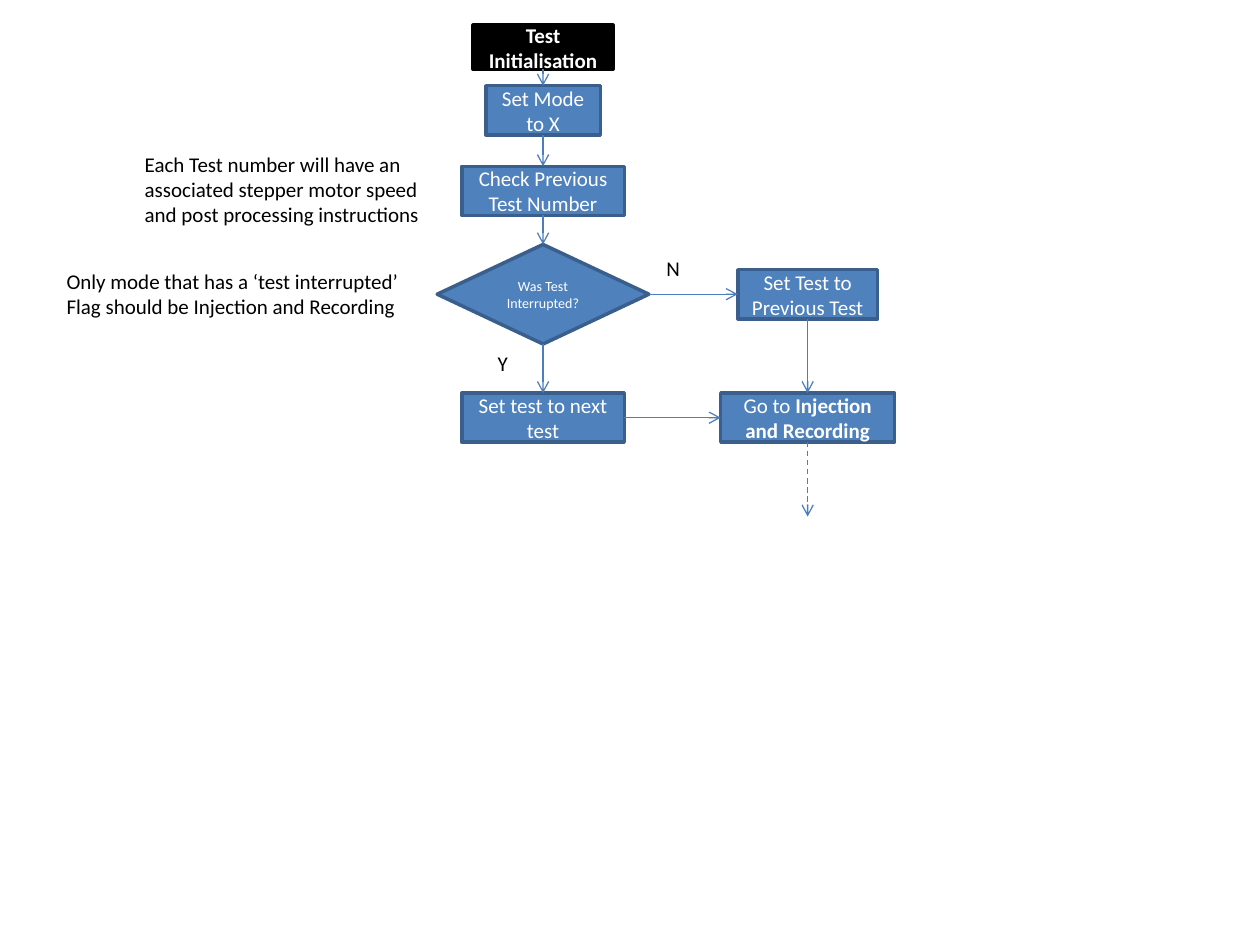
from lxml import etree
from pptx import Presentation
from pptx.dml.color import RGBColor
from pptx.enum.dml import MSO_LINE
from pptx.enum.shapes import MSO_CONNECTOR, MSO_SHAPE
from pptx.enum.text import MSO_ANCHOR, MSO_AUTO_SIZE, PP_ALIGN
from pptx.oxml.ns import qn
from pptx.util import Inches, Pt

RECT, DECISION = MSO_SHAPE.RECTANGLE, MSO_SHAPE.FLOWCHART_DECISION
TOP, LEFT, BOTTOM, RIGHT = range(4)  # connection sites
COLORS = {"box": "4F81BD", "edge": "3A5F8C", "arrow": "4B7EBC",
          "start": "000000", "light": "FFFFFF", "dark": "000000"}

# Grid: centre of each column and row, in inches
COLS = {"main": 4.31, "side": 6.41}
ROWS = {"start": 0.375, "mode": 0.875, "check": 1.515, "decide": 2.335, "end": 3.315}
BOX_H = 0.39
EXIT_LENGTH = 0.59

# name: (column, row, width, height, shape, size, fill, edge, [(text, bold)])
STEPS = {
    "init": ("main", "start", 1.11, 0.35, RECT, 12, "start", "start",
             [("Test Initialisation", True)]),
    "mode": ("main", "mode", 0.91, BOX_H, RECT, 12, "box", "edge",
             [("Set Mode to X", False)]),
    "check": ("main", "check", 1.29, BOX_H, RECT, 12, "box", "edge",
              [("Check Previous Test Number", False)]),
    "interrupted": ("main", "decide", 1.68, 0.79, DECISION, 8, "box", "edge",
                    [("Was Test Interrupted?", False)]),
    "previous": ("side", "decide", 1.11, BOX_H, RECT, 12, "box", "edge",
                 [("Set Test to Previous Test", False)]),
    "next": ("main", "end", 1.29, BOX_H, RECT, 12, "box", "edge",
             [("Set test to next test", False)]),
    "record": ("side", "end", 1.38, BOX_H, RECT, 12, "box", "edge",
               [("Go to ", False), ("Injection and Recording", True)]),
}
FLOWS = [
    ("init", BOTTOM, "mode", TOP),
    ("mode", BOTTOM, "check", TOP),
    ("check", BOTTOM, "interrupted", TOP),
    ("interrupted", RIGHT, "previous", LEFT),
    ("interrupted", BOTTOM, "next", TOP),
    ("next", RIGHT, "record", LEFT),
    ("previous", BOTTOM, "record", TOP),
]
# (left, top, width, height, lines)
NOTES = [
    (5.19, 1.98, 0.31, 0.3, ["N"]),
    (3.85, 2.73, 0.28, 0.3, ["Y"]),
    (0.43, 2.08, 2.9, 0.5, ["Only mode that has a ‘test interrupted’",
                            "Flag should be Injection and Recording"]),
    (1.05, 1.15, 2.42, 0.71, ["Each Test number will have an",
                              "associated stepper motor speed",
                              "and post processing instructions"]),
]


def rgb(name):
    return RGBColor.from_string(COLORS[name])


def add_run(p, text, size, color, bold=False):
    r = p.add_run()
    r.text = text
    for key, value in {"name": "Calibri", "size": Pt(size), "bold": bold}.items():
        setattr(r.font, key, value)
    r.font.color.rgb = rgb(color)


def add_step(s, col, row, w, h, kind, size, fill, edge, runs):
    sp = s.shapes.add_shape(kind, Inches(COLS[col] - w / 2), Inches(ROWS[row] - h / 2),
                            Inches(w), Inches(h))
    sp.shadow.inherit = False
    sp.fill.solid()
    sp.fill.fore_color.rgb = rgb(fill)
    sp.line.color.rgb = rgb(edge)
    sp.line.width = Pt(2)
    tf = sp.text_frame
    tf.word_wrap = True
    tf.vertical_anchor = MSO_ANCHOR.MIDDLE
    p = tf.paragraphs[0]
    p.alignment = PP_ALIGN.CENTER
    for text, bold in runs:
        add_run(p, text, size, "light", bold)
    return sp


def add_arrow(s):
    c = s.shapes.add_connector(MSO_CONNECTOR.STRAIGHT, 0, 0, 0, 0)
    c.line.color.rgb = rgb("arrow")
    c.line.width = Pt(0.75)
    etree.SubElement(c.line._get_or_add_ln(), qn("a:tailEnd"), type="arrow")
    etree.SubElement(c._element.spPr, qn("a:effectLst"))
    return c


def add_note(s, left, top, w, h, lines):
    tf = s.shapes.add_textbox(*map(Inches, (left, top, w, h))).text_frame
    tf.word_wrap = False
    tf.auto_size = MSO_AUTO_SIZE.SHAPE_TO_FIT_TEXT
    for i, line in enumerate(lines):
        p = tf.add_paragraph() if i else tf.paragraphs[0]
        add_run(p, line, 12, "dark")


def main():
    prs = Presentation()
    prs.slide_width, prs.slide_height = Inches(10), Inches(7.5)
    s = prs.slides.add_slide(prs.slide_layouts[6])

    # Steps, then the arrows glued to them
    steps = {name: add_step(s, *step) for name, step in STEPS.items()}
    for start, start_site, end, end_site in FLOWS:
        c = add_arrow(s)
        c.begin_connect(steps[start], start_site)
        c.end_connect(steps[end], end_site)

    # Dashed exit from the last step
    last = steps["record"]
    c = add_arrow(s)
    c.begin_connect(last, BOTTOM)
    c.end_x = c.begin_x
    c.end_y = last.top + last.height + Inches(EXIT_LENGTH)
    c.line.dash_style = MSO_LINE.DASH

    # Branch labels and side notes
    for note in NOTES:
        add_note(s, *note)

    prs.save("out.pptx")


if __name__ == "__main__":
    main()
